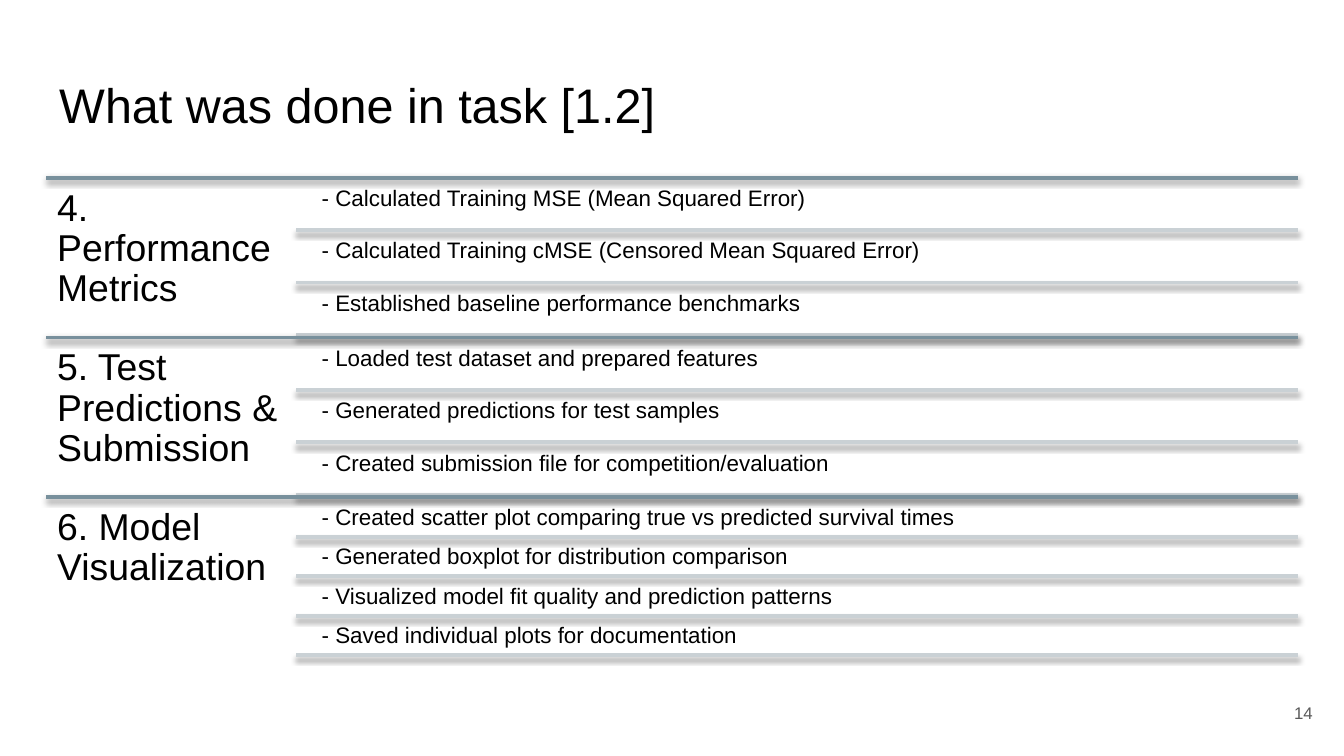
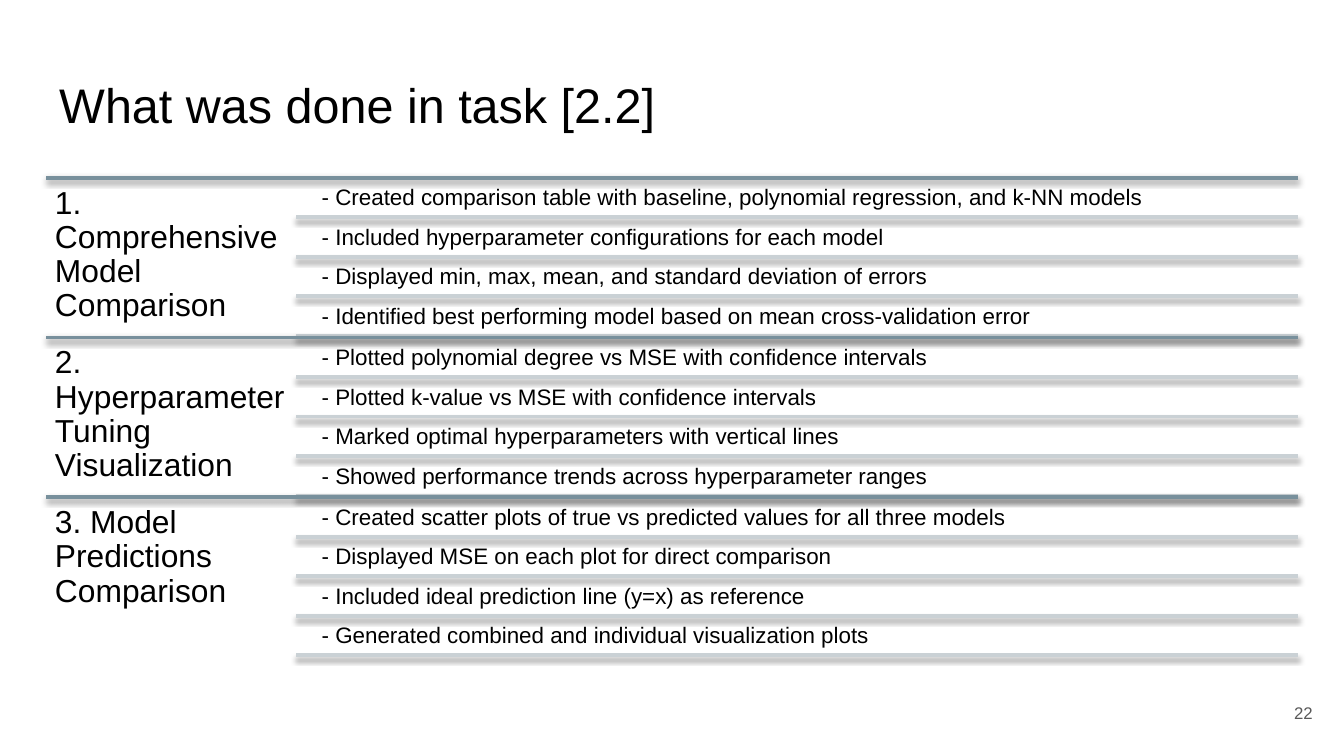
"""Build two task summary slides with ruled sections and items."""
from dataclasses import dataclass

from lxml import etree
from pptx import Presentation
from pptx.dml.color import RGBColor
from pptx.enum.shapes import MSO_CONNECTOR
from pptx.enum.text import MSO_ANCHOR, PP_ALIGN
from pptx.oxml import parse_xml
from pptx.oxml.ns import qn
from pptx.util import Cm, Pt

STRAIGHT = MSO_CONNECTOR.STRAIGHT
TOP, MIDDLE = MSO_ANCHOR.TOP, MSO_ANCHOR.MIDDLE
LEFT, RIGHT = PP_ALIGN.LEFT, PP_ALIGN.RIGHT

COLORS = {
    "background": "FFFFFF",
    "text": "000000",
    "page": "595959",
    "section_rule": "78909C",
    "item_rule": "CAD1D5",
}
FONT = "Arial"
MARGIN, RIGHT_EDGE = 0.87, 24.53
SECTIONS_TOP, SECTION_HEIGHT = 3.36, 3.02
LABEL_WIDTH = 4.73
ITEM_LEFT = 5.95
GAP_RATIO = 0.05
SHADOW = (
    '<a:effectLst xmlns:a="http://schemas.openxmlformats.org/drawingml/2006/main">'
    '<a:outerShdw blurRad="40000" dist="20000" dir="5400000" rotWithShape="0">'
    '<a:srgbClr val="000000"><a:alpha val="38000"/></a:srgbClr>'
    "</a:outerShdw></a:effectLst>"
)


@dataclass(frozen=True)
class Box:
    left: float
    top: float
    width: float
    height: float


@dataclass(frozen=True)
class TextStyle:
    size: int
    inset: float
    color: str = "text"
    align: PP_ALIGN = LEFT
    anchor: MSO_ANCHOR = TOP
    space_after: float = 0


@dataclass(frozen=True)
class Section:
    label: str
    items: tuple[str, ...]


@dataclass(frozen=True)
class TaskSlide:
    title: str
    page: str
    label_style: TextStyle
    sections: tuple[Section, ...]


TITLE_BOX = Box(MARGIN, 1.24, RIGHT_EDGE - MARGIN, 1.6)
PAGE_BOX = Box(23.54, 12.95, 1.52, 1.09)
TITLE_STYLE = TextStyle(26, 0.25, anchor=MIDDLE)
PAGE_STYLE = TextStyle(9, 0.25, "page", RIGHT, MIDDLE, 6)
ITEM_STYLE = TextStyle(12, 0.13, space_after=4.2)
LARGE_LABEL = TextStyle(20, 0.21, space_after=7)
SMALL_LABEL = TextStyle(17, 0.17, space_after=5.95)

TASK_SLIDES = (
    TaskSlide("What was done in task [1.2]", "14", LARGE_LABEL, (
        Section("4. Performance Metrics", (
            "- Calculated Training MSE (Mean Squared Error)",
            "- Calculated Training cMSE (Censored Mean Squared Error)",
            "- Established baseline performance benchmarks",
        )),
        Section("5. Test Predictions & Submission", (
            "- Loaded test dataset and prepared features",
            "- Generated predictions for test samples",
            "- Created submission file for competition/evaluation",
        )),
        Section("6. Model Visualization", (
            "- Created scatter plot comparing true vs predicted survival times",
            "- Generated boxplot for distribution comparison",
            "- Visualized model fit quality and prediction patterns",
            "- Saved individual plots for documentation",
        )),
    )),
    TaskSlide("What was done in task [2.2]", "22", SMALL_LABEL, (
        Section("1. Comprehensive Model Comparison", (
            "- Created comparison table with baseline, polynomial regression, and k-NN models",
            "- Included hyperparameter configurations for each model",
            "- Displayed min, max, mean, and standard deviation of errors",
            "- Identified best performing model based on mean cross-validation error",
        )),
        Section("2. Hyperparameter Tuning Visualization", (
            "- Plotted polynomial degree vs MSE with confidence intervals",
            "- Plotted k-value vs MSE with confidence intervals",
            "- Marked optimal hyperparameters with vertical lines",
            "- Showed performance trends across hyperparameter ranges",
        )),
        Section("3. Model Predictions Comparison", (
            "- Created scatter plots of true vs predicted values for all three models",
            "- Displayed MSE on each plot for direct comparison",
            "- Included ideal prediction line (y=x) as reference",
            "- Generated combined and individual visualization plots",
        )),
    )),
)


def add_text(shapes, box: Box, text: str, style: TextStyle) -> None:
    """Add a wrapped text box with one paragraph."""
    shape = shapes.add_textbox(Cm(box.left), Cm(box.top), Cm(box.width), Cm(box.height))
    frame = shape.text_frame
    frame.word_wrap = True
    frame.vertical_anchor = style.anchor
    frame.margin_left = frame.margin_right = Cm(style.inset)
    frame.margin_top = frame.margin_bottom = Cm(style.inset)
    paragraph = frame.paragraphs[0]
    paragraph.text = text
    paragraph.alignment = style.align
    paragraph.line_spacing = 0.9
    paragraph.space_after = Pt(style.space_after)
    paragraph.font.name = FONT
    paragraph.font.size = Pt(style.size)
    paragraph.font.color.rgb = RGBColor.from_string(COLORS[style.color])


def add_rule(shapes, left: float, top: float, color: str) -> None:
    """Add a shadowed horizontal rule that ends at the right edge."""
    rule = shapes.add_connector(STRAIGHT, Cm(left), Cm(top), Cm(RIGHT_EDGE), Cm(top))
    rule.line.color.rgb = RGBColor.from_string(COLORS[color])
    rule.line.width = Pt(2)
    properties: etree._Element = rule._element.find(qn("p:spPr"))
    properties.append(parse_xml(SHADOW))


def add_section(shapes, section: Section, top: float, label_style: TextStyle) -> None:
    """Add a section label and its evenly spaced, underlined items."""
    add_rule(shapes, MARGIN, top, "section_rule")
    add_text(shapes, Box(MARGIN, top, LABEL_WIDTH, SECTION_HEIGHT), section.label, label_style)
    count = len(section.items)
    item_height = SECTION_HEIGHT / (count + (count + 1) * GAP_RATIO)
    gap = item_height * GAP_RATIO
    for index, item in enumerate(section.items):
        item_top = top + gap + index * (item_height + gap)
        box = Box(ITEM_LEFT, item_top, RIGHT_EDGE - ITEM_LEFT, item_height)
        add_text(shapes, box, item, ITEM_STYLE)
        add_rule(shapes, MARGIN + LABEL_WIDTH, item_top + item_height, "item_rule")


def add_task_slide(presentation, task: TaskSlide) -> None:
    """Add one slide with its title, page number and grouped sections."""
    slide = presentation.slides.add_slide(presentation.slide_layouts[6])
    slide.background.fill.solid()
    slide.background.fill.fore_color.rgb = RGBColor.from_string(COLORS["background"])
    add_text(slide.shapes, TITLE_BOX, task.title, TITLE_STYLE)
    add_text(slide.shapes, PAGE_BOX, task.page, PAGE_STYLE)
    group = slide.shapes.add_group_shape()
    for index, section in enumerate(task.sections):
        top = SECTIONS_TOP + index * SECTION_HEIGHT
        add_section(group.shapes, section, top, task.label_style)


def main() -> None:
    """Build and save the presentation."""
    presentation = Presentation()
    presentation.slide_width = Cm(25.4)
    presentation.slide_height = Cm(14.29)
    for task in TASK_SLIDES:
        add_task_slide(presentation, task)
    presentation.save("out.pptx")


if __name__ == "__main__":
    main()
